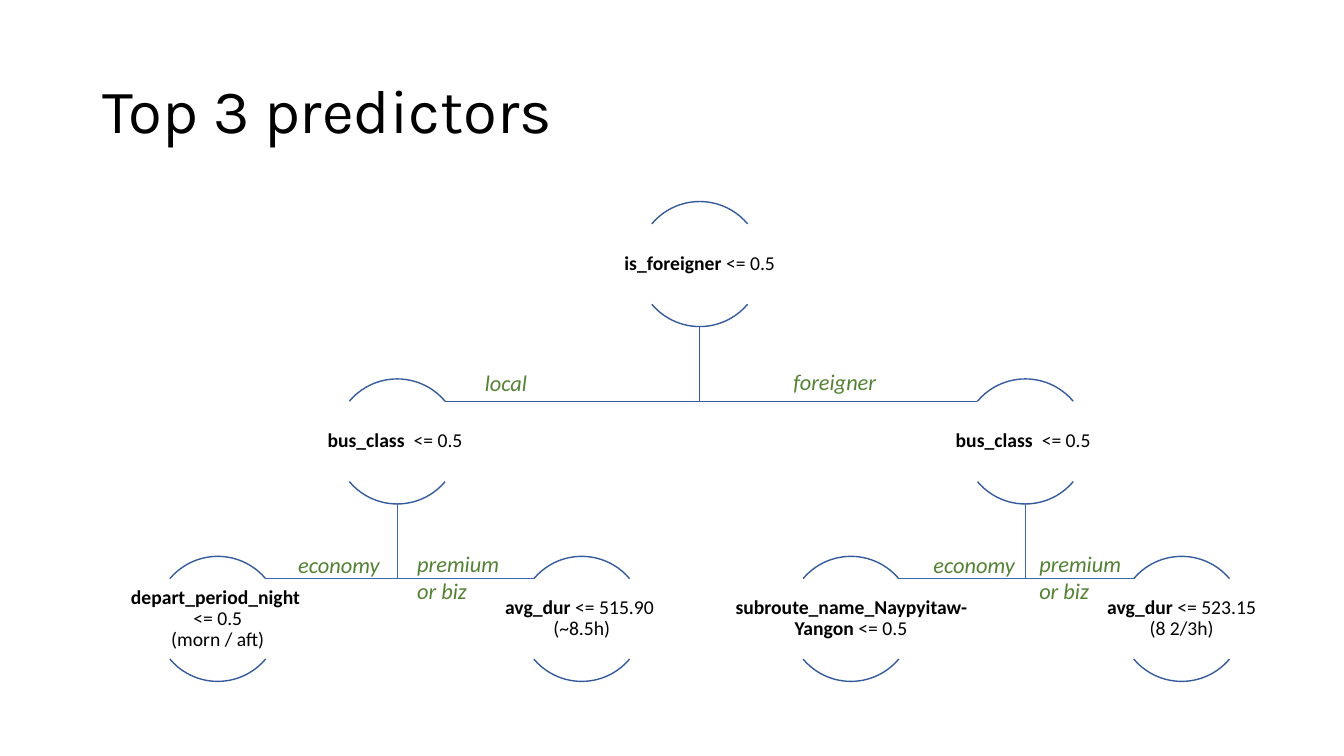
from copy import deepcopy
from math import cos, radians, sin

from pptx import Presentation
from pptx.dml.color import RGBColor as RGB
from pptx.enum.shapes import MSO_SHAPE as Kind
from pptx.enum.text import MSO_ANCHOR as Anchor, MSO_AUTO_SIZE as Fit, PP_ALIGN as Align
from pptx.oxml.ns import qn
from pptx.util import Inches, Pt

COLORS = {"text": "000000", "label": "548235", "ring": "365B9D", "twig": "3E67B2"}
SIZE = 1.24
RADIUS = SIZE / 2
REACH = RADIUS * cos(radians(40))
DROP = RADIUS * (1 - sin(radians(40)))
ROWS = [2, 3.76, 5.52]
ARCS = [(132, 192), (24, 84)]  # start and end, 0.6 per degree
NODE_BOX = (2.48, 0.79)
PAD = 0.01

TITLE_FONT = {"name": "Karla", "size": Pt(44)}
NODE_FONT = {"name": "Calibri", "size": Pt(14)}
LABEL_FONT = {"name": "Calibri", "size": Pt(16), "italic": True}

# key: (centre x, row, parent, bold text, plain text)
NODES = {
    "root": (6.94, 0, None, "is_foreigner ", "<= 0.5"),
    "local": (3.94, 1, "root", "bus_class  ", "<= 0.5 "),
    "night": (2.16, 2, "local", "depart_period_night \n", "<= 0.5\n(morn / aft)"),
    "long": (5.77, 2, "local", "avg_dur ", "<= 515.90 \n(~8.5h)"),
    "foreign": (10.17, 1, "root", "bus_class  ", "<= 0.5 "),
    "route": (8.44, 2, "foreign", "subroute_name_Naypyitaw-Yangon ", "<= 0.5"),
    "short": (11.72, 2, "foreign", "avg_dur ", "<= 523.15\n(8 2/3h)"),
}
LABELS = [
    (4.71, 3.61, ["local"]),
    (7.77, 3.6, ["foreigner"]),
    (2.86, 5.42, ["economy"]),
    (4.04, 5.41, ["premium", "or biz"]),
    (9.16, 5.42, ["economy"]),
    (10.21, 5.41, ["premium", "or biz"]),
]


def apply(item, values):
    for name, value in values.items():
        setattr(item, name, value)


class Tree:
    """Style and current slide of the decision tree."""

    def __init__(self, slide):
        self.slide = slide
        self.shapes = slide.shapes

    def text(self, para, words, font, color):
        """Add words to a paragraph, with line breaks of the same font."""
        for i, line in enumerate(words.split("\n")):
            if i:
                para.add_line_break()
            run = para.add_run()
            run.text = line
            apply(run.font, font)
            run.font.color.rgb = RGB.from_string(COLORS[color])
            if i:
                para._p.findall(qn("a:br"))[-1].append(deepcopy(run._r.rPr))

    def title(self, words):
        box = self.shapes.title
        apply(box, {"left": Inches(0.92), "top": Inches(0.4),
                    "width": Inches(11.5), "height": Inches(1.45)})
        apply(box.text_frame, {"vertical_anchor": Anchor.MIDDLE, "auto_size": Fit.NONE,
                               "word_wrap": True})
        para = box.text_frame.paragraphs[0]
        apply(para, {"alignment": Align.LEFT, "line_spacing": 0.9})
        self.text(para, words, TITLE_FONT, "text")

    def outline(self, shape, color):
        shape.shadow.inherit = False
        shape.fill.background()
        shape.line.color.rgb = RGB.from_string(COLORS[color])
        shape.line.width = Pt(1)

    def branch(self, x, row, end):
        """Draw the elbow from a parent down and across to a child's near edge."""
        top, low = ROWS[row - 1] + SIZE, ROWS[row] + DROP
        side = end + (REACH if end < x else -REACH)
        points = [(Inches(a), Inches(b)) for a, b in [(x, top), (x, low), (side, low)]]
        elbow = self.shapes.build_freeform(*points[0])
        elbow.add_line_segments(points[1:], close=False)
        self.outline(elbow.convert_to_shape(), "ring" if row == 1 else "twig")

    def node(self, x, row, bold, plain):
        top = ROWS[row]
        for ends in ARCS:
            arc = self.shapes.add_shape(Kind.ARC, Inches(x - RADIUS), Inches(top),
                                        Inches(SIZE), Inches(SIZE))
            arc.adjustments[0], arc.adjustments[1] = ends
            self.outline(arc, "ring")
        wide, high = NODE_BOX
        box = self.shapes.add_textbox(Inches(x - wide / 2), Inches(top + RADIUS - high / 2),
                                      Inches(wide), Inches(high))
        frame = box.text_frame
        apply(frame, {"word_wrap": True, "vertical_anchor": Anchor.MIDDLE})
        apply(frame, {f"margin_{s}": Inches(PAD) for s in ("left", "top", "right", "bottom")})
        para = frame.paragraphs[0]
        apply(para, {"alignment": Align.CENTER, "line_spacing": 0.9})
        self.text(para, bold, {**NODE_FONT, "bold": True}, "text")
        self.text(para, plain, NODE_FONT, "text")

    def label(self, x, y, lines):
        box = self.shapes.add_textbox(Inches(x), Inches(y), Inches(1.33),
                                      Inches(0.1 + 0.27 * len(lines)))
        frame = box.text_frame
        apply(frame, {"word_wrap": True, "auto_size": Fit.SHAPE_TO_FIT_TEXT})
        for i, line in enumerate(lines):
            para = frame.add_paragraph() if i else frame.paragraphs[0]
            self.text(para, line, LABEL_FONT, "label")


def main():
    deck = Presentation()
    deck.slide_width, deck.slide_height = Inches(13.33), Inches(7.5)
    tree = Tree(deck.slides.add_slide(deck.slide_layouts[5]))
    tree.title("Top 3 predictors")
    for x, row, parent, *_ in NODES.values():
        if parent:
            tree.branch(NODES[parent][0], row, x)
    for x, row, _, bold, plain in NODES.values():
        tree.node(x, row, bold, plain)
    for x, y, lines in LABELS:
        tree.label(x, y, lines)
    deck.save("out.pptx")


if __name__ == "__main__":
    main()
